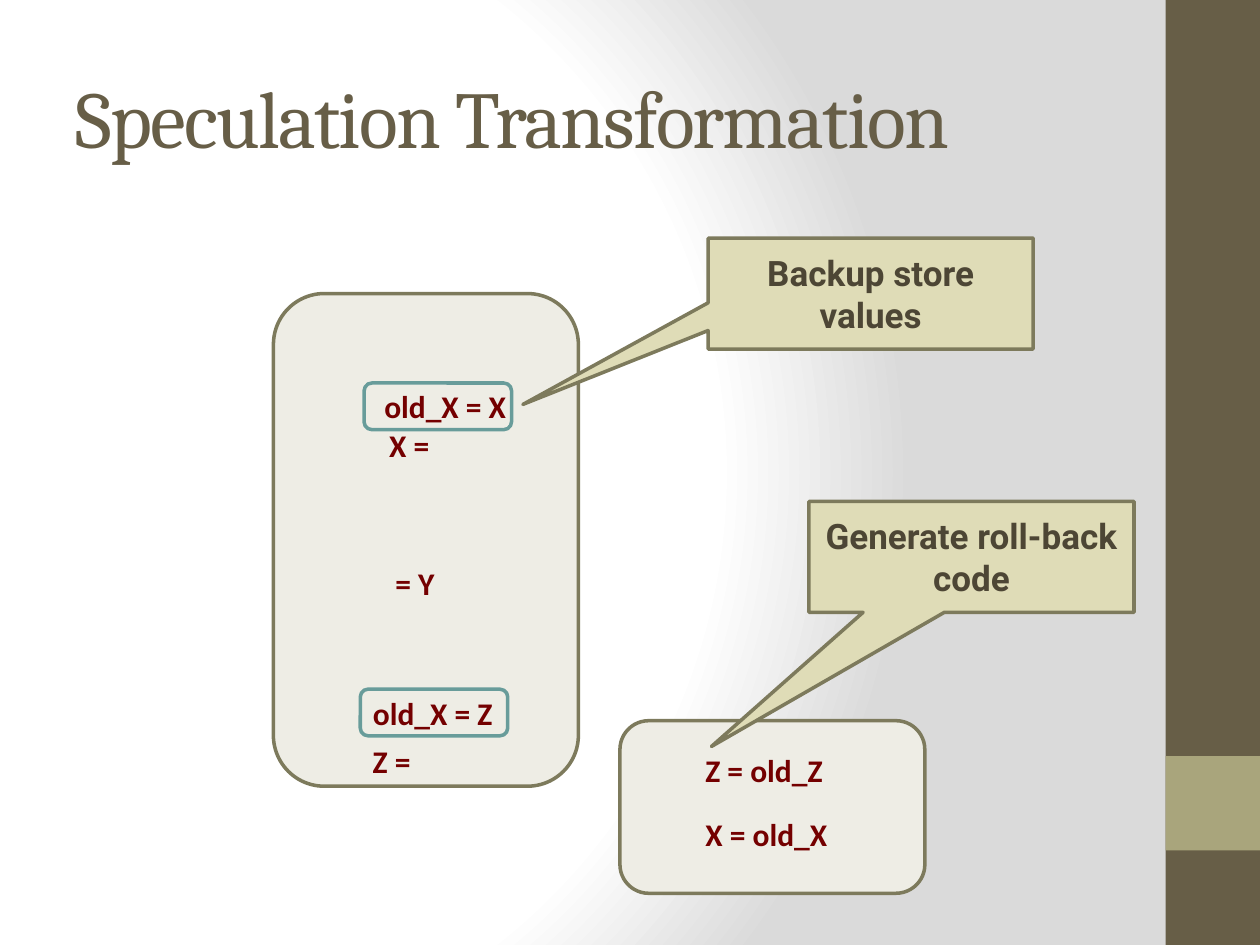
import lxml.etree
import pptx
import pptx.dml.color
import pptx.enum.shapes
import pptx.enum.text
import pptx.oxml
import pptx.oxml.ns
import pptx.util

Inches = pptx.util.Inches
SHAPE = pptx.enum.shapes.MSO_SHAPE
ALIGN = pptx.enum.text.PP_ALIGN
ANCHOR = pptx.enum.text.MSO_ANCHOR
qn = pptx.oxml.ns.qn

COLORS = {
    "white": "FFFFFF",
    "gray": "DADADA",
    "brown": "675E47",
    "olive": "A9A57C",
    "block": "EEEDE5",
    "border": "7D7A5C",
    "teal": "689C9A",
    "callout": "DFDCB7",
    "callout_text": "4D4635",
    "code": "740000",
}
FORMATS = {
    "title": {"name": "Cambria", "size": 46, "bold": False, "color": "brown"},
    "code": {"name": "Calibri", "size": 18, "bold": True, "color": "code"},
    "callout": {"name": "Roboto", "size": 20, "bold": True, "color": "callout_text"},
}
CODE_INDENT = 0.33


def rgb(key):
    return pptx.dml.color.RGBColor.from_string(COLORS[key])


class SlideBuilder:
    def __init__(self, s):
        self.s = s

    def background(self):
        fill = self.s.background.fill
        fill.gradient()
        grad = self.s.element.find(".//" + qn("a:gradFill"))
        for child in list(grad):
            grad.remove(child)
        stops = lxml.etree.SubElement(grad, qn("a:gsLst"))
        for pos, key in ((0, "white"), (75, "white"), (100, "gray")):
            gs = lxml.etree.SubElement(stops, qn("a:gs"), pos=str(pos * 1000))
            lxml.etree.SubElement(gs, qn("a:srgbClr"), val=COLORS[key])
        radial = lxml.etree.SubElement(grad, qn("a:path"))
        radial.set("path", "circle")
        lxml.etree.SubElement(radial, qn("a:fillToRect"),
                              l="20000", t="50000", r="100000", b="50000")

    def text(self, tf, text, style, align=ALIGN.LEFT, anchor=ANCHOR.TOP):
        tf.word_wrap = True
        tf.vertical_anchor = anchor
        p = tf.paragraphs[0]
        p.alignment = align
        r = p.add_run()
        r.text = text
        for key, value in FORMATS[style].items():
            if key == "color":
                r.font.color.rgb = rgb(value)
            elif key == "size":
                r.font.size = pptx.util.Pt(value)
            else:
                setattr(r.font, key, value)
        return r

    def title(self, text, x, y, w, h):
        sp = self.s.shapes.title
        sp.left, sp.top, sp.width, sp.height = map(Inches, (x, y, w, h))
        r = self.text(sp.text_frame, text, "title", anchor=ANCHOR.MIDDLE)
        r.font._element.set("spc", "-100")

    def shape(self, kind, x, y, w, h, fill=None, line=None):
        sp = self.s.shapes.add_shape(kind, *map(Inches, (x, y, w, h)))
        sp.shadow.inherit = False
        if fill:
            sp.fill.solid()
            sp.fill.fore_color.rgb = rgb(fill)
        else:
            sp.fill.background()
        if line:
            sp.line.color.rgb = rgb(line)
            sp.line.width = pptx.util.Pt(2)
        else:
            sp.line.fill.background()
        return sp

    def code(self, text, x, y, w, indent=0.1):
        tf = self.s.shapes.add_textbox(*map(Inches, (x, y, w, 0.4))).text_frame
        tf.margin_left = Inches(indent)
        self.text(tf, text, "code")

    def callout(self, text, x, y, tip):
        sp = self.shape(SHAPE.RECTANGULAR_CALLOUT, x, y, 2.58, 0.88, "callout", "border")
        for i, value in enumerate(tip):
            sp.adjustments[i] = value
        self.text(sp.text_frame, text, "callout", ALIGN.CENTER, ANCHOR.MIDDLE)


def main():
    prs = pptx.Presentation()
    prs.slide_width, prs.slide_height = Inches(10), Inches(7.5)
    b = SlideBuilder(prs.slides.add_slide(prs.slide_layouts[5]))

    b.background()
    b.shape(SHAPE.RECTANGLE, 9.25, 0, 0.75, 7.5, "brown")
    b.shape(SHAPE.RECTANGLE, 9.25, 6, 0.75, 0.75, "olive")
    b.title("Speculation Transformation", 0.5, 0.3, 8.33, 1.25)

    for x, y, h in ((2.17, 2.33, 3.91), (4.92, 5.72, 1.37)):
        b.shape(SHAPE.ROUNDED_RECTANGLE, x, y, 2.42, h, "block", "border")

    for text, x, y, w in (
        ("X =", 2.99, 3.33, 0.67),
        ("= Y", 3.04, 4.43, 0.67),
        ("Z =", 2.86, 5.84, 0.67),
        ("Z = old_Z", 5.5, 5.91, 1.33),
        ("X = old_X", 5.5, 6.42, 1.42),
    ):
        b.code(text, x, y, w)
    b.code("old_X = X", 2.72, 3.02, 1.53, CODE_INDENT)
    b.code("old_X = Z", 2.63, 5.46, 1.53, CODE_INDENT)

    for x, y in ((2.89, 3.04), (2.86, 5.47)):
        b.shape(SHAPE.FLOWCHART_ALTERNATE_PROCESS, x, y, 1.17, 0.37, line="teal")

    b.callout("Backup store values", 5.62, 1.89, (-1.07, 1))
    b.callout("Generate roll-back code", 6.42, 3.98, (-0.8, 1.71))

    prs.save("out.pptx")


if __name__ == "__main__":
    main()
